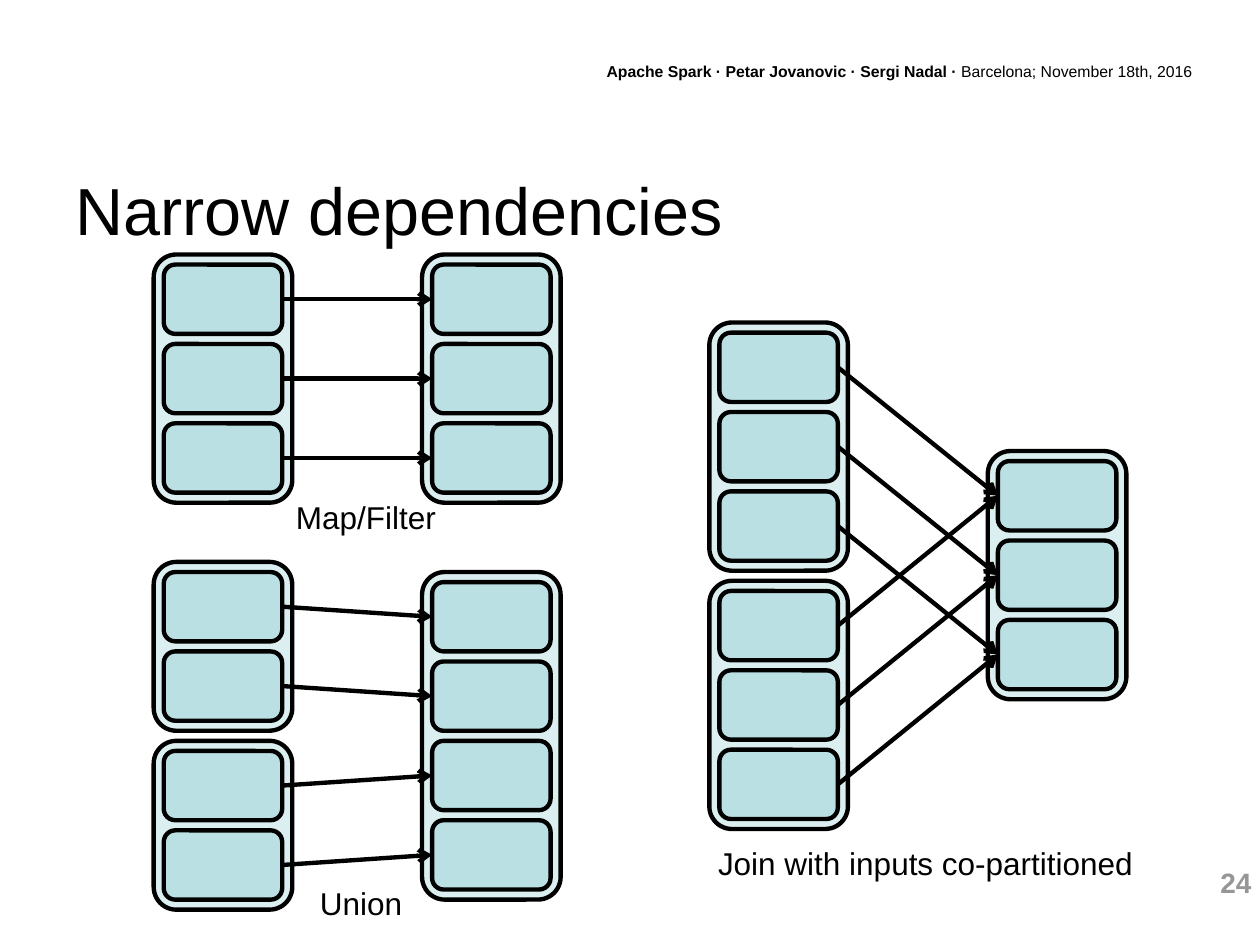
from dataclasses import dataclass

from lxml import etree
from pptx import Presentation
from pptx import util as u
from pptx.dml.color import RGBColor
from pptx.enum import shapes, text
from pptx.oxml.ns import qn

BLACK = RGBColor(0x00, 0x00, 0x00)
GREY = RGBColor(0x96, 0x96, 0x96)
AQUA = RGBColor(0xBB, 0xE0, 0xE3)
FONT = "Arial"

# Grid in inches: dataset columns, and the row pitch of the partitions
COLUMNS = (1.22, 3.35, 5.63, 7.84)
ROW = 0.63
GAP = 0.08
FRAME_W = 1.1
PARTITION_W, PARTITION_H = FRAME_W - 2 * GAP, ROW - GAP
FRAME_RADIUS = 0.18
LINE_WIDTH = u.Pt(2.5)


@dataclass(frozen=True)
class Dataset:
    column: int
    top: float
    rows: int


@dataclass(frozen=True)
class Dependency:
    inputs: tuple[Dataset, ...]
    output: Dataset


@dataclass(frozen=True)
class Label:
    box: tuple[float, float, float, float]
    runs: tuple[tuple[str, bool], ...]
    size: float
    color: RGBColor = BLACK
    align: text.PP_ALIGN = text.PP_ALIGN.LEFT
    wrap: bool = False


DEPENDENCIES = (
    # Map/Filter
    Dependency((Dataset(0, 2.02, 3),), Dataset(1, 2.02, 3)),
    # Union
    Dependency((Dataset(0, 4.46, 2), Dataset(0, 5.88, 2)), Dataset(1, 4.54, 4)),
    # Join
    Dependency((Dataset(2, 2.56, 3), Dataset(2, 4.61, 3)), Dataset(3, 3.58, 3)),
)

LABELS = (
    Label((8.76, 6.82, 1.27, 0.37), (("24", True),), 16, GREY,
          text.PP_ALIGN.RIGHT, True),
    Label((2.95, 0.44, 6.61, 0.25),
          (("Apache Spark · Petar Jovanovic · Sergi Nadal · ", True),
           ("Barcelona; November 18th, 2016", False)),
          9, align=text.PP_ALIGN.RIGHT, wrap=True),
    Label((2.25, 3.9, 1.31, 0.4), (("Map/Filter", False),), 18),
    Label((5.6, 6.65, 3.49, 0.4), (("Join with inputs co-partitioned", False),), 18),
    Label((2.44, 6.97, 0.85, 0.4), (("Union", False),), 18),
)


def inches(*lengths: float) -> list[u.Length]:
    return [u.Inches(length) for length in lengths]


def add_rounded(slide, left: float, top: float, width: float, height: float,
                radius: float):
    box = slide.shapes.add_shape(shapes.MSO_SHAPE.ROUNDED_RECTANGLE,
                                 *inches(left, top, width, height))
    box.adjustments[0] = radius / min(width, height)
    box.shadow.inherit = False
    box.fill.solid()
    box.fill.fore_color.rgb = AQUA
    box.line.color.rgb = BLACK
    box.line.width = LINE_WIDTH
    return box


def add_dataset(slide, dataset: Dataset) -> list:
    """Draw the translucent frame and return its partitions."""
    left = COLUMNS[dataset.column]
    frame = add_rounded(slide, left, dataset.top, FRAME_W,
                        dataset.rows * ROW + GAP, FRAME_RADIUS)
    color = frame.fill._xPr.find(f"{qn('a:solidFill')}/{qn('a:srgbClr')}")
    etree.SubElement(color, qn("a:alpha"), val="50000")
    return [add_rounded(slide, left + GAP, dataset.top + GAP + row * ROW,
                        PARTITION_W, PARTITION_H, PARTITION_H / 6)
            for row in range(dataset.rows)]


def add_arrow(slide, source, target) -> None:
    arrow = slide.shapes.add_connector(shapes.MSO_CONNECTOR.STRAIGHT, 0, 0, 0, 0)
    arrow.begin_connect(source, 3)
    arrow.end_connect(target, 1)
    arrow.line.color.rgb = BLACK
    arrow.line.width = LINE_WIDTH
    etree.SubElement(arrow.line._get_or_add_ln(), qn("a:tailEnd"), type="arrow")
    etree.SubElement(arrow._element.spPr, qn("a:effectLst"))


def add_dependency(slide, dependency: Dependency) -> None:
    sources = [part for dataset in dependency.inputs
               for part in add_dataset(slide, dataset)]
    targets = add_dataset(slide, dependency.output)
    # A join has more inputs than outputs, so its targets repeat
    for index, source in enumerate(sources):
        add_arrow(slide, source, targets[index % len(targets)])


def format_run(run, size: float, color: RGBColor, bold: bool) -> None:
    run.font.name = FONT
    run.font.size = u.Pt(size)
    run.font.color.rgb = color
    run.font.bold = bold


def add_label(slide, label: Label) -> None:
    frame = slide.shapes.add_textbox(*inches(*label.box)).text_frame
    frame.word_wrap = label.wrap
    paragraph = frame.paragraphs[0]
    paragraph.alignment = label.align
    for words, bold in label.runs:
        run = paragraph.add_run()
        run.text = words
        format_run(run, label.size, label.color, bold)


def add_title(slide, words: str) -> None:
    title = slide.shapes.title
    title.left, title.top, title.width, title.height = inches(0.5, 1.23, 9, 0.86)
    title.text_frame.text = words
    title.text_frame.auto_size = text.MSO_AUTO_SIZE.NONE
    title.text_frame.vertical_anchor = text.MSO_ANCHOR.MIDDLE
    paragraph = title.text_frame.paragraphs[0]
    paragraph.alignment = text.PP_ALIGN.LEFT
    format_run(paragraph.runs[0], 38, BLACK, False)


def main() -> None:
    deck = Presentation()
    deck.slide_width, deck.slide_height = inches(10, 7.5)
    slide = deck.slides.add_slide(deck.slide_layouts[5])
    add_title(slide, "Narrow dependencies")
    for dependency in DEPENDENCIES:
        add_dependency(slide, dependency)
    for label in LABELS:
        add_label(slide, label)
    deck.save("out.pptx")


if __name__ == "__main__":
    main()
